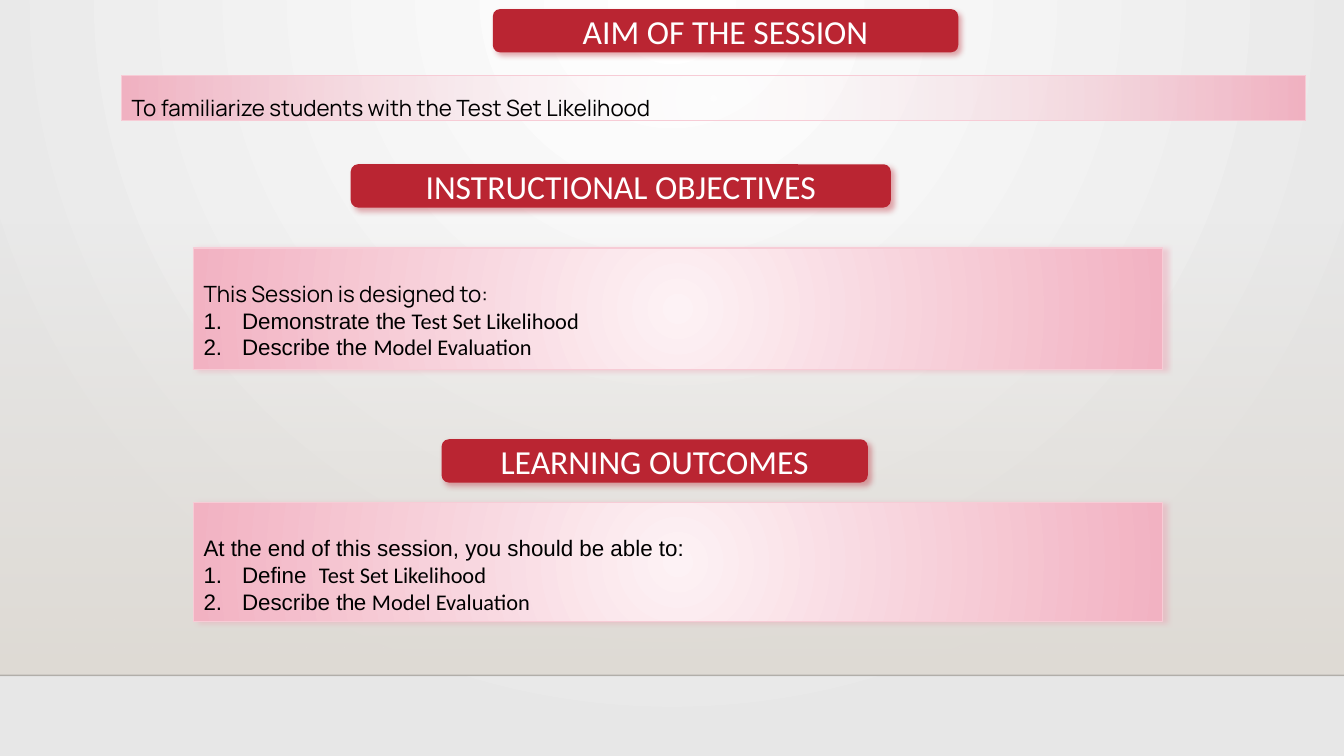
import pptx
import pptx.util
import pptx.dml.color
import pptx.enum.shapes
import pptx.enum.text
import pptx.oxml
import pptx.oxml.ns

Cm = pptx.util.Cm
Pt = pptx.util.Pt
RGBColor = pptx.dml.color.RGBColor
Shape = pptx.enum.shapes.MSO_SHAPE
Align = pptx.enum.text.PP_ALIGN
Anchor = pptx.enum.text.MSO_ANCHOR
Fit = pptx.enum.text.MSO_AUTO_SIZE

WIDTH, HEIGHT = 33.87, 19.05
FLOOR = 17.02
BAND_TOP = 5.61
BANNER_HIGH = 1.09
INDENT = 0.97

WHITE = RGBColor(0xFF, 0xFF, 0xFF)
BLACK = RGBColor(0x00, 0x00, 0x00)
SILVER = RGBColor(0xE7, 0xE7, 0xE7)
SAND = RGBColor(0xDF, 0xDB, 0xD5)
RED = RGBColor(0xBA, 0x25, 0x32)
BLUSH = RGBColor(0xFD, 0xF2, 0xF5)
PINK = RGBColor(0xF2, 0xB2, 0xC2)
EDGE = RGBColor(0xF7, 0xCC, 0xD6)
ROSE = RGBColor(0xEE, 0x99, 0xAD)
INK = RGBColor(0x00, 0x00, 0x01)

BANNERS = [
    ("AIM OF THE SESSION", 12.42, 0.23, 11.73),
    ("INSTRUCTIONAL OBJECTIVES", 8.84, 4.14, 13.61),
    ("LEARNING OUTCOMES", 11.13, 11.07, 10.74),
]

PANELS = [
    {
        "box": (3.07, 1.91, 29.82, 1.14), "clear": True, "space": 1.5,
        "lead": ("To familiarize students with the Test Set Likelihood", "Manrope"),
        "items": [],
    },
    {
        "box": (4.88, 6.25, 24.41, 3.07), "clear": False, "space": 2,
        "lead": ("This Session is designed to:", "Manrope"),
        "items": [
            [("Demonstrate ", "Arial", 0), ("the ", "Arial", -0.4),
             ("Test Set Likelihood", "Calibri", 0)],
            [("Describe the ", "Arial", 0), ("Model Evaluation", "Calibri", 0)],
        ],
    },
    {
        "box": (4.88, 12.67, 24.41, 3), "clear": False, "space": 2,
        "lead": ("At the end of this session, you should be able to:", "Arial"),
        "items": [
            [("Define  ", "Arial", 0), ("Test Set Likelihood", "Calibri", 0)],
            [("Describe ", "Arial", 0), ("the ", "Arial", -0.4),
             ("Model Evaluation", "Calibri", 0)],
        ],
    },
]

CIRCLE = '<a:path path="circle"><a:fillToRect l="{}" t="{}" r="{}" b="{}"/></a:path>'
MIDDLE = CIRCLE.format(50000, 50000, 50000, 50000)
TOP = CIRCLE.format(43000, 0, 43000, 100000)
DOWN = '<a:lin ang="5400000" scaled="0"/>'


def node(xml):
    head, tail = xml.split(">", 1)
    space = " " + pptx.oxml.ns.nsdecls("a")
    if head.endswith("/"):
        return pptx.oxml.parse_xml(head[:-1] + space + "/>" + tail)
    return pptx.oxml.parse_xml(head + space + ">" + tail)


def blend(host, fill, start, end, form, clear=False):
    fill.gradient()
    old = host.element.xpath(".//a:gradFill")[0]
    alpha = '<a:alpha val="0"/>' if clear else ""
    new = node(
        '<a:gradFill rotWithShape="1"><a:gsLst>'
        f'<a:gs pos="0"><a:srgbClr val="{start}">{alpha}</a:srgbClr></a:gs>'
        f'<a:gs pos="100000"><a:srgbClr val="{end}"/></a:gs>'
        f"</a:gsLst>{form}</a:gradFill>")
    old.getparent().replace(old, new)


def shade(shape, color, angle):
    shape.element.spPr.find(pptx.oxml.ns.qn("a:effectLst")).append(node(
        f'<a:outerShdw blurRad="{Pt(4)}" dist="{Pt(3)}" dir="{angle * 60000}" '
        f'algn="tl" rotWithShape="0"><a:srgbClr val="{color}">'
        '<a:alpha val="40000"/></a:srgbClr></a:outerShdw>'))


def block(slide, kind, box):
    shape = slide.shapes.add_shape(kind, *map(Cm, box))
    shape.shadow.inherit = False
    shape.line.fill.background()
    return shape


def write(text, par, font="Arial", size=16, color=BLACK, gap=0):
    run = par.add_run()
    run.text = text
    run.font.name = font
    run.font.size = Pt(size)
    run.font.color.rgb = color
    if gap:
        run._r.get_or_add_rPr().set("spc", str(round(gap * 100)))


def banner(slide, text, left, top, wide):
    shape = block(slide, Shape.ROUNDED_RECTANGLE, (left, top, wide, BANNER_HIGH))
    shape.fill.solid()
    shape.fill.fore_color.rgb = RED
    shade(shape, RED, 45)
    shape.text_frame.vertical_anchor = Anchor.MIDDLE
    par = shape.text_frame.paragraphs[0]
    par.alignment = Align.CENTER
    write(text, par, font="Calibri", size=24, color=WHITE)


def panel(slide, box, clear, space, lead, items):
    shape = block(slide, Shape.RECTANGLE, box)
    blend(shape, shape.fill, BLUSH, PINK, MIDDLE, clear)
    shape.line.color.rgb = EDGE
    shape.line.width = Pt(0.75)
    if not clear:
        shade(shape, ROSE, 0)
    frame = shape.text_frame
    frame.vertical_anchor = Anchor.TOP
    frame.auto_size = Fit.SHAPE_TO_FIT_TEXT
    par = frame.paragraphs[0]
    par.alignment = Align.LEFT
    par.line_spacing = float(space)
    write(lead[0], par, font=lead[1])
    for item in items:
        par = frame.add_paragraph()
        par.alignment = Align.LEFT
        props = par._p.get_or_add_pPr()
        props.set("marL", str(Cm(INDENT)))
        props.set("indent", str(-Cm(INDENT)))
        props.append(node('<a:buFont typeface="Arial"/>'))
        props.append(node('<a:buAutoNum type="arabicPeriod"/>'))
        for text, font, gap in item:
            write(text, par, font=font, gap=gap)


def main():
    deck = pptx.Presentation()
    deck.slide_width, deck.slide_height = Cm(WIDTH), Cm(HEIGHT)
    slide = deck.slides.add_slide(deck.slide_layouts[6])
    blend(slide, slide.background.fill, WHITE, SILVER, TOP)

    band = block(slide, Shape.RECTANGLE, (0, BAND_TOP, WIDTH, FLOOR - BAND_TOP))
    blend(band, band.fill, SAND, SAND, DOWN, clear=True)

    rule = slide.shapes.add_connector(
        pptx.enum.shapes.MSO_CONNECTOR.STRAIGHT, 0, Cm(FLOOR), Cm(WIDTH), Cm(FLOOR))
    rule.line.color.rgb = INK
    rule.line.width = Pt(1)
    rule.element.xpath(".//a:ln//a:srgbClr")[0].append(node('<a:alpha val="20000"/>'))
    rule.element.spPr.append(node("<a:effectLst/>"))

    for title, part in zip(BANNERS, PANELS):
        banner(slide, *title)
        panel(slide, **part)
    deck.save("out.pptx")


if __name__ == "__main__":
    main()
